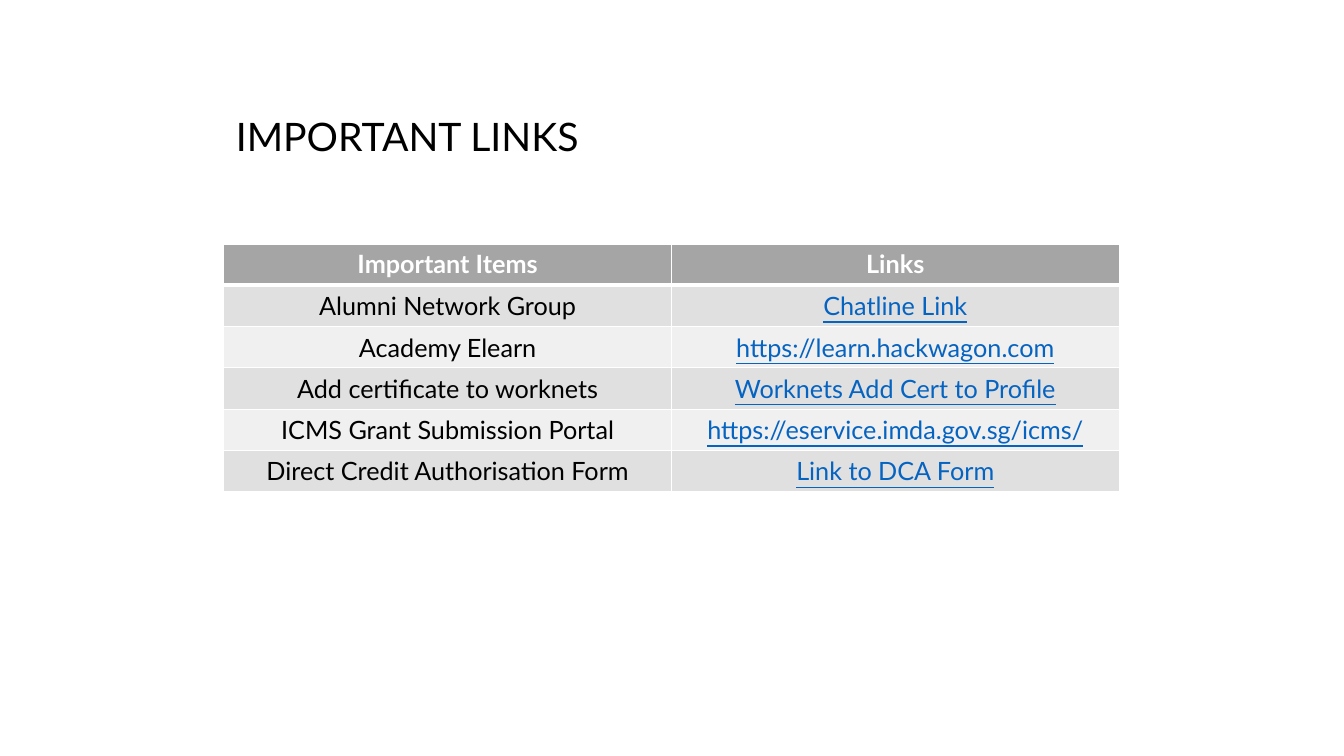
"""Build the slide that lists important items and their links."""
from dataclasses import dataclass

from lxml.etree import SubElement
from pptx import Presentation
from pptx.dml.color import RGBColor as Rgb
from pptx.enum.text import MSO_ANCHOR as Anchor, PP_ALIGN as Align
from pptx.oxml.ns import qn
from pptx.util import Inches, Pt

COLORS = {
    "white": "FFFFFF",
    "text": "000000",
    "link": "0563C1",
    "header": "A5A5A5",
    "odd": "E0E0E0",
    "even": "F0F0F0",
}
FONT = "Lato"
ROW_HEIGHT = 0.41
COLUMN_WIDTH = 4.44


@dataclass(frozen=True)
class LinkRow:
    item: str
    link: str


@dataclass(frozen=True)
class TextStyle:
    size: int
    color: str
    bold: bool = False
    underline: bool = False


HEADER = LinkRow("Important Items", "Links")
ROWS = [
    LinkRow("Alumni Network Group", "Chatline Link"),
    LinkRow("Academy Elearn", "https://learn.hackwagon.com"),
    LinkRow("Add certificate to worknets", "Worknets Add Cert to Profile"),
    LinkRow("ICMS Grant Submission Portal", "https://eservice.imda.gov.sg/icms/"),
    LinkRow("Direct Credit Authorisation Form", "Link to DCA Form"),
]
TITLE_STYLE = TextStyle(28, "text")
HEADER_STYLE = TextStyle(18, "white", bold=True)
ITEM_STYLE = TextStyle(18, "text")
LINK_STYLE = TextStyle(18, "link", underline=True)


def add_span(para, text: str, style: TextStyle) -> None:
    span = para.add_run()
    span.text = text
    span.font.name = FONT
    span.font.size = Pt(style.size)
    span.font.bold = style.bold
    span.font.underline = style.underline
    span.font.color.rgb = Rgb.from_string(COLORS[style.color])


def set_borders(cell, top: int, bottom: int) -> None:
    properties = cell._tc.get_or_add_tcPr()
    for side, width in {"L": 1, "R": 1, "T": top, "B": bottom}.items():
        border = SubElement(properties, qn(f"a:ln{side}"), w=str(Pt(width)))
        fill = SubElement(border, qn("a:solidFill"))
        SubElement(fill, qn("a:srgbClr"), val=COLORS["white"])


def fill_cell(cell, text: str, style: TextStyle, fill: str, top: int, bottom: int) -> None:
    set_borders(cell, top, bottom)
    cell.fill.solid()
    cell.fill.fore_color.rgb = Rgb.from_string(COLORS[fill])
    para = cell.text_frame.paragraphs[0]
    para.alignment = Align.CENTER
    add_span(para, text, style)


def add_title(page) -> None:
    box = page.shapes.add_textbox(Inches(2.31), Inches(1.08), Inches(4.78), Inches(0.53))
    frame = box.text_frame
    frame.word_wrap = True
    frame.margin_left = frame.margin_right = Inches(0.03)
    frame.margin_top = frame.margin_bottom = Inches(0.03)
    add_span(frame.paragraphs[0], "IMPORTANT LINKS", TITLE_STYLE)


def add_link_table(page) -> None:
    row_count = len(ROWS) + 1
    table = page.shapes.add_table(
        row_count, 2, Inches(2.22), Inches(2.42),
        Inches(2 * COLUMN_WIDTH), Inches(row_count * ROW_HEIGHT),
    ).table
    for column in table.columns:
        column.width = Inches(COLUMN_WIDTH)
    for row in table.rows:
        row.height = Inches(ROW_HEIGHT)
    for column, text in enumerate((HEADER.item, HEADER.link)):
        fill_cell(table.cell(0, column), text, HEADER_STYLE, "header", 1, 3)
    for index, row in enumerate(ROWS, start=1):
        fill = "odd" if index % 2 else "even"
        top = 3 if index == 1 else 1
        for column, (text, style) in enumerate(
            ((row.item, ITEM_STYLE), (row.link, LINK_STYLE))
        ):
            cell = table.cell(index, column)
            cell.vertical_anchor = Anchor.MIDDLE
            fill_cell(cell, text, style, fill, top, 1)


def main() -> None:
    deck = Presentation()
    deck.slide_width, deck.slide_height = Inches(13.33), Inches(7.5)
    page = deck.slides.add_slide(deck.slide_layouts[6])
    add_title(page)
    add_link_table(page)
    deck.save("out.pptx")


if __name__ == "__main__":
    main()
